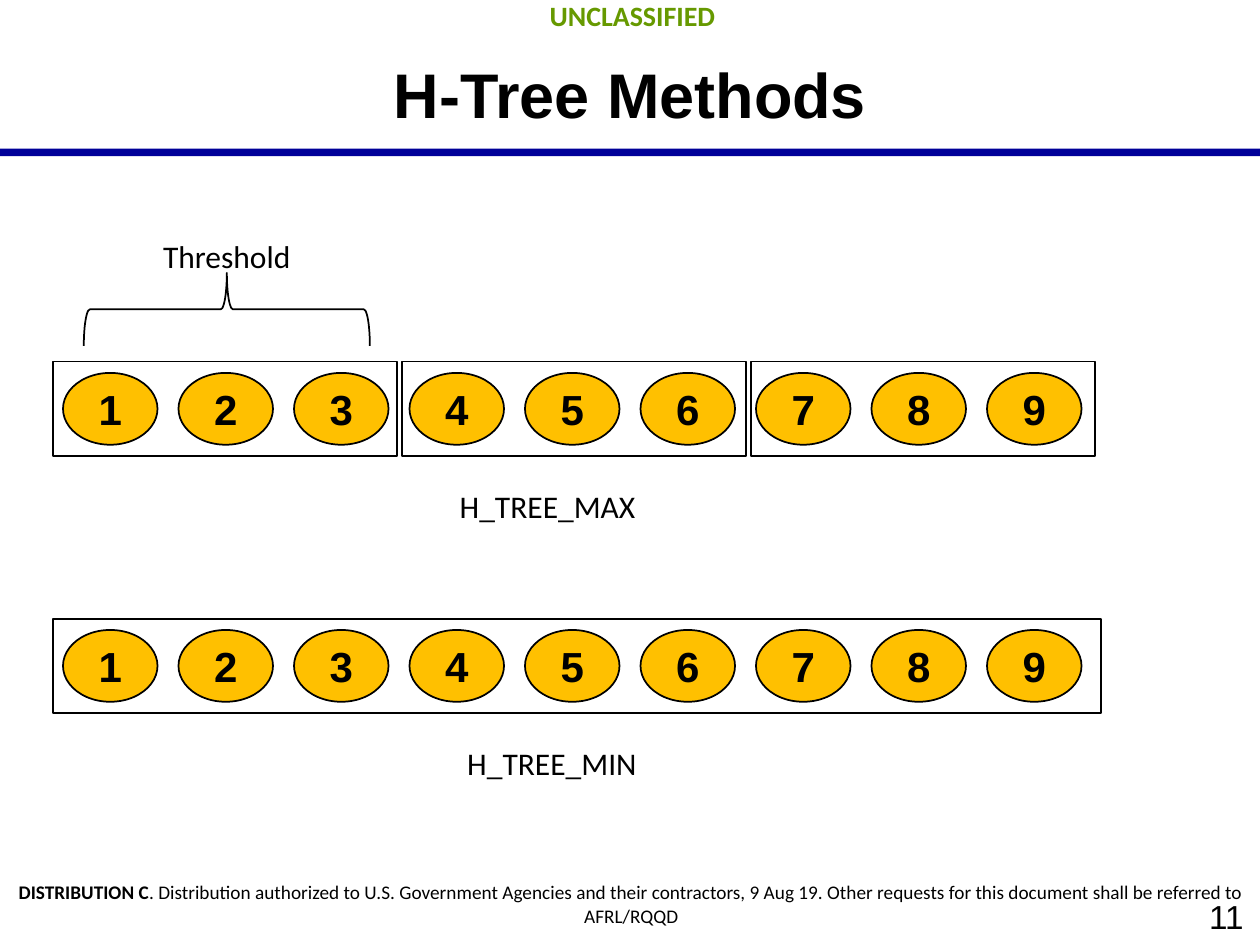
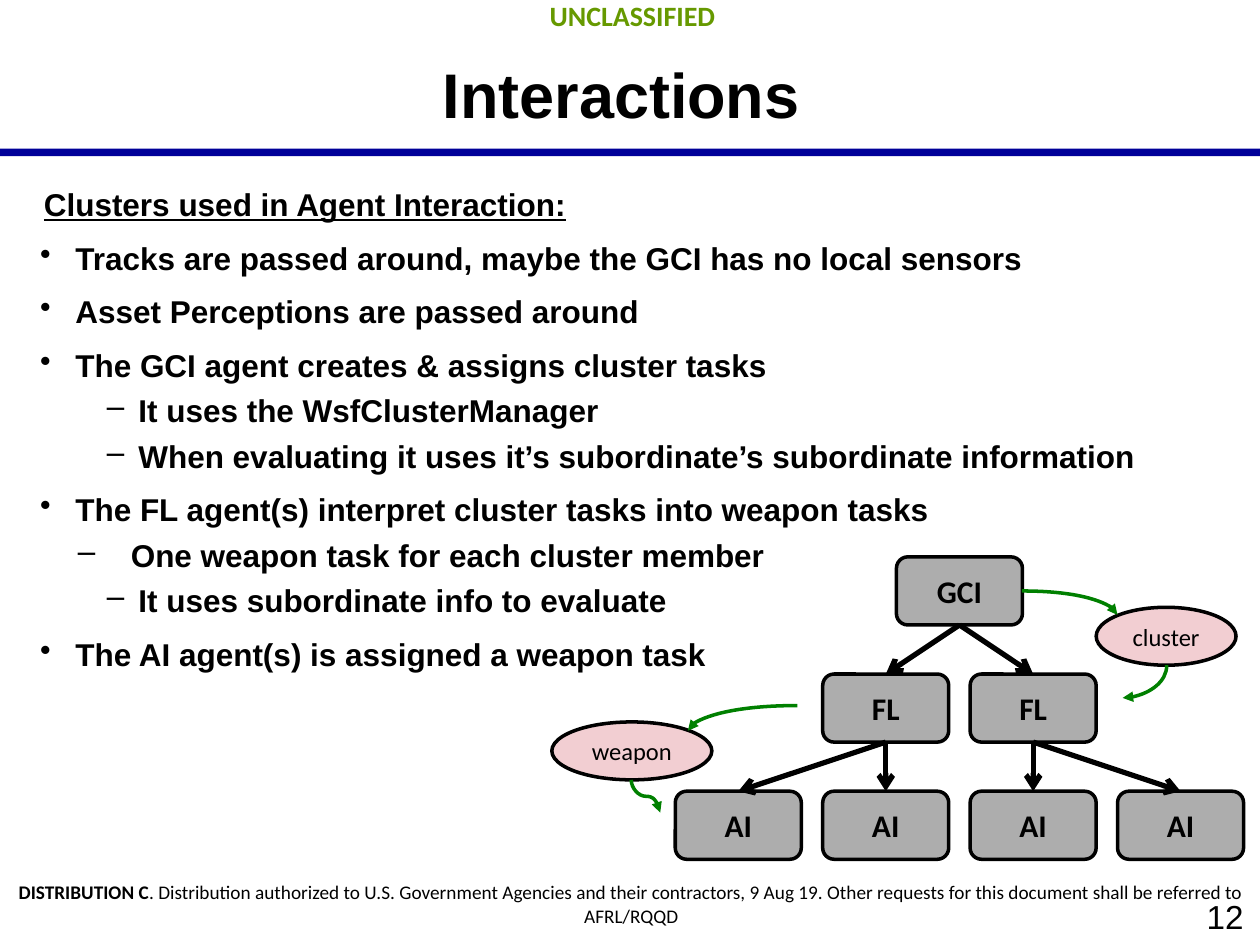
from lxml.etree import SubElement
from pptx import Presentation
from pptx.dml.color import RGBColor
from pptx.enum.shapes import MSO_CONNECTOR as Link, MSO_SHAPE as Form
from pptx.enum.text import MSO_ANCHOR as Anchor, PP_ALIGN as Align
from pptx.oxml.ns import qn
from pptx.util import Inches, Pt

# Content
MARK = "UNCLASSIFIED"
NOTICE = [
    ("DISTRIBUTION C", True),
    (". Distribution authorized to U.S. Government Agencies and their contractors, "
     "9 Aug 19. Other requests for this document shall be referred to AFRL/RQQD", False),
]
COUNT = 9
# caption, caption left, row top, frame widths
ROWS = [
    ("H_TREE_MAX", 3.55, 2.87, [2.73, 2.73, 2.73]),
    ("H_TREE_MIN", 3.61, 4.91, [8.32]),
]
# level, text
POINTS = [
    ("head", "Clusters used in Agent Interaction:"),
    ("main", "Tracks are passed around, maybe the GCI has no local sensors"),
    ("main", "Asset Perceptions are passed around"),
    ("main", "The GCI agent creates & assigns cluster tasks"),
    ("sub", "It uses the WsfClusterManager"),
    ("sub", "When evaluating it uses it’s subordinate’s subordinate information"),
    ("main", "The FL agent(s) interpret cluster tasks into weapon tasks"),
    ("wide", "One weapon task for each cluster member"),
    ("sub", "It uses subordinate info to evaluate"),
    ("main", "The AI agent(s) is assigned a weapon task"),
]
LEVELS = {
    "head": dict(left=0.53, hang=0.28, line=True),
    "main": dict(left=0.5, hang=0.28, gap=9, bullet="•"),
    "sub": dict(left=1, hang=0.25, gap=4.4, bullet="–"),
    "wide": dict(left=0.94, hang=0.42, gap=4.4, bullet="–"),
}
# label, column, row of the agent tree
AGENTS = [("GCI", 1.5, 0), ("FL", 1, 1), ("FL", 2, 1)] + [("AI", c, 2) for c in range(4)]
# parent and child, as places in AGENTS
EDGES = [(0, 1), (0, 2), (1, 3), (1, 4), (2, 5), (2, 6)]
TASKS = [("cluster", (8.7, 4.82, 1.11, 0.46)), ("weapon", (4.38, 5.73, 1.27, 0.46))]
# start, end, end that has the arrowhead
BENDS = [
    ((8.11, 4.69), (8.87, 4.88), "tailEnd"),
    ((8.91, 5.54), (9.26, 5.28), "headEnd"),
    ((6.33, 5.6), (5.46, 5.8), "tailEnd"),
]
SWERVE = ((5.01, 6.19), (5.24, 6.45))

# Style
BLACK = RGBColor(0, 0, 0)
NAVY = RGBColor(0x00, 0x00, 0x99)
OLIVE = RGBColor(0x66, 0x99, 0x00)
GOLD = RGBColor(0xFF, 0xC0, 0x00)
GREY = RGBColor(0xAD, 0xAD, 0xAD)
PINK = RGBColor(0xF2, 0xCE, 0xD2)
GREEN = RGBColor(0x00, 0x80, 0x00)
SANS, BODY = "Arial", "Calibri"
WIDE, HIGH = 10, 7.5
PAD = (0.13, 0.07)

# Grids
OVAL_X, OVAL_STEP, OVAL = 0.5, 11 / 12, (0.75, 0.57)
FRAME_X, FRAME_STEP, FRAME_H = 0.42, 2.77, 0.75
TREE_X, TREE_Y, COL, ROW, NODE = 5.36, 4.42, 1.17, 0.93, (1, 0.54)


def put(shape, text, size=18, font=BODY, color=BLACK, bold=False, line=False,
        align=Align.LEFT, more=False, gap=0, left=0, hang=0, bullet=None):
    """Write one paragraph; text is a string or a list of (words, bold)."""
    frame = shape.text_frame
    para = frame.add_paragraph() if more else frame.paragraphs[0]
    para.alignment = align
    if gap:
        para.space_before = Pt(gap)
    if left:
        props = para._p.get_or_add_pPr()
        props.set("marL", str(Inches(left)))
        props.set("indent", str(-Inches(hang)))
        if bullet:
            SubElement(props, qn("a:buChar")).set("char", bullet)
    for words, heavy in [(text, bold)] if isinstance(text, str) else text:
        run = para.add_run()
        run.text = words
        face = run.font
        face.name, face.size, face.bold = font, Pt(size), heavy
        face.underline = line
        face.color.rgb = color


def inset(shape, side, top):
    frame = shape.text_frame
    frame.margin_left = frame.margin_right = Inches(side)
    frame.margin_top = frame.margin_bottom = Inches(top)


def box(slide, area, pad=(0.1, 0.05), anchor=Anchor.TOP):
    shape = slide.shapes.add_textbox(*map(Inches, area))
    shape.text_frame.word_wrap = True
    shape.text_frame.vertical_anchor = anchor
    inset(shape, *pad)
    return shape


def draw(slide, form, area, fill=None, width=1, label=None, **style):
    shape = slide.shapes.add_shape(form, *map(Inches, area))
    shape.shadow.inherit = False
    if fill is None:
        shape.fill.background()
    else:
        shape.fill.solid()
        shape.fill.fore_color.rgb = fill
    if width:
        shape.line.color.rgb = BLACK
        shape.line.width = Pt(width)
    else:
        shape.line.fill.background()
    if label:
        inset(shape, 0, 0)
        shape.text_frame.vertical_anchor = Anchor.MIDDLE
        put(shape, label, align=Align.CENTER, **style)
    return shape


def link(slide, start, end, color, width, head, end_tag="tailEnd", kind=Link.STRAIGHT):
    wire = slide.shapes.add_connector(kind, *map(Inches, start + end))
    wire.line.color.rgb = color
    wire.line.width = Pt(width)
    SubElement(wire.line._get_or_add_ln(), qn("a:" + end_tag)).set("type", head)
    SubElement(wire._element.spPr, qn("a:effectLst"))
    return wire


def base(deck, title, page):
    """Add a slide with the shared band, marks and title."""
    slide = deck.slides.add_slide(deck.slide_layouts[6])
    draw(slide, Form.RECTANGLE, (0, 1.18, WIDE, 0.06), NAVY, width=0)
    put(box(slide, (8, 7.05, 2, 0.45), PAD, Anchor.MIDDLE), str(page),
        size=19, font=SANS, align=Align.RIGHT)
    put(box(slide, (0.02, -0.08, WIDE, 0.4), PAD), MARK,
        size=16, color=OLIVE, bold=True, align=Align.CENTER)
    put(box(slide, (0, 6.92, 10.02, 0.5), PAD), NOTICE, size=11, align=Align.CENTER)
    put(box(slide, (0.5, 0.34, 9, 0.59), (0.1, 0.1)), title,
        size=36, font=SANS, bold=True, align=Align.CENTER)
    return slide


def methods(deck):
    slide = base(deck, "H-Tree Methods", 11)
    for name, left, top, frames in ROWS:
        for i in range(COUNT):
            draw(slide, Form.OVAL, (OVAL_X + i * OVAL_STEP, top + 0.09, *OVAL), GOLD,
                 label=str(i + 1), size=24, font=SANS, bold=True)
        for i, width in enumerate(frames):
            draw(slide, Form.RECTANGLE, (FRAME_X + i * FRAME_STEP, top, width, FRAME_H))
        put(box(slide, (left, top + 0.95, 2.08, 0.4)), name)
    # Threshold brace
    draw(slide, Form.LEFT_BRACE, (1.51, 1.32, 0.58, 2.27)).rotation = 90
    put(box(slide, (0.77, 1.83, 2.06, 0.4)), "Threshold", align=Align.CENTER)


def agents(deck):
    slide = base(deck, "Interactions ", 12)
    body = box(slide, (0, 1.42, WIDE, 4.68))
    for i, (level, text) in enumerate(POINTS):
        put(body, text, font=SANS, bold=True, more=i > 0, **LEVELS[level])

    # Agent tree
    spots = [(TREE_X + c * COL, TREE_Y + r * ROW) for _, c, r in AGENTS]
    for (name, _, _), spot in zip(AGENTS, spots):
        draw(slide, Form.ROUNDED_RECTANGLE, (*spot, *NODE), GREY, 2, name, bold=True)
    for a, b in EDGES:
        (ax, ay), (bx, by) = spots[a], spots[b]
        half = NODE[0] / 2
        link(slide, (ax + half, ay + NODE[1]), (bx + half, by), BLACK, 3, "arrow")

    # Task flow
    for name, area in TASKS:
        draw(slide, Form.OVAL, area, PINK, 2, name, size=14)
    for start, end, tag in BENDS:
        wire = link(slide, start, end, GREEN, 2, "triangle", tag, Link.CURVE)
        wire._element.spPr.find(qn("a:prstGeom")).set("prst", "curvedConnector2")
    # A quarter turn makes the S-curve leave downward
    (ax, ay), (bx, by) = SWERVE
    mx, my, dx, dy = (ax + bx) / 2, (ay + by) / 2, (bx - ax) / 2, (by - ay) / 2
    wire = link(slide, (mx + dy, my - dx), (mx - dy, my + dx), GREEN, 2, "triangle",
                kind=Link.CURVE)
    wire._element.spPr.find(qn("a:xfrm")).set("rot", str(270 * 60000))


def main():
    deck = Presentation()
    deck.slide_width, deck.slide_height = Inches(WIDE), Inches(HIGH)
    methods(deck)
    agents(deck)
    deck.save("out.pptx")


if __name__ == "__main__":
    main()
